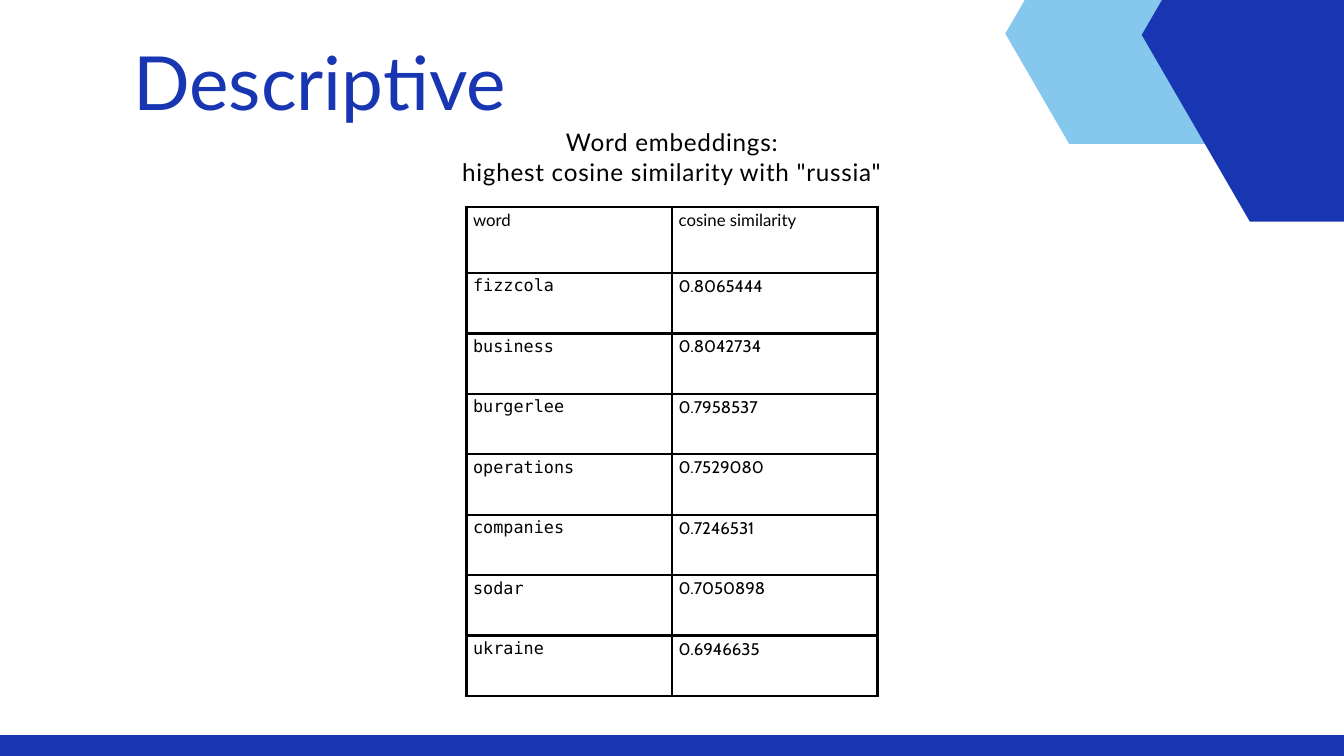
"""Build a slide with a table of word embedding similarities."""
from lxml.etree import SubElement as Sub
from pptx import Presentation
from pptx.dml.color import RGBColor as Rgb
from pptx.enum.shapes import MSO_SHAPE as Kind
from pptx.enum.text import MSO_AUTO_SIZE as Fit, PP_ALIGN as Align
from pptx.oxml.ns import qn
from pptx.util import Inches, Pt

TITLE = ["Descriptive"]
HEAD = ["Word embeddings:", 'highest cosine similarity with "russia"']
ROWS = [
    ("word", "cosine similarity"),
    ("fizzcola", "0.8065444"),
    ("business", "0.8042734"),
    ("burgerlee", "0.7958537"),
    ("operations", "0.7529080"),
    ("companies", "0.7246531"),
    ("sodar", "0.7050898"),
    ("ukraine", "0.6946635"),
]
THEME = {
    "blue": Rgb.from_string("1836B2"),
    "sky": Rgb.from_string("86C7ED"),
    "ink": Rgb.from_string("000000"),
    "sans": "Lato",
    "mono": "DejaVu Sans Mono",
    "digit": "Cabin",
    "title": Pt(80),
    "head": Pt(26),
    "cell": Pt(18),
    "edge": Pt(3),
}
HEXES = [
    {"box": (14.96, -1.14, 5.38, 3.28), "inset": 0.95, "tone": "sky"},
    {"box": (16.99, -2.26, 6.02, 5.56), "inset": 1.61, "tone": "blue"},
]
TEXTS = [
    {"lines": HEAD, "box": (6.68, 1.9, 6.64, 0.86), "size": "head",
     "tone": "ink", "track": 80,
     "form": {"alignment": Align.CENTER, "line_spacing": Pt(31.2)}},
    {"lines": TITLE, "box": (1.98, 0.65, 11.59, 1.26), "size": "title",
     "tone": "blue", "track": 0,
     "form": {"alignment": Align.LEFT, "line_spacing": Pt(88)}},
]
GRID = {"box": (6.94, 3.08, 6.12, 7.28), "first": 0.98, "row": 0.9}


def apply(item, values):
    """Set each named value on an item."""
    for name, value in values.items():
        setattr(item, name, value)


def style(run, face, size, tone):
    """Give a run its face, size and colour."""
    apply(run.font, {"name": THEME[face], "size": THEME[size]})
    run.font.color.rgb = THEME[tone]


def paint(shape, tone):
    """Fill a shape plainly, with no line or shadow."""
    shape.shadow.inherit = False
    shape.fill.solid()
    shape.fill.fore_color.rgb = THEME[tone]
    shape.line.fill.background()


def add_hex(slide, box, inset, tone):
    """Draw a hexagon with points at the left and right."""
    left, top, wide, high = box
    right, low, mid = left + wide, top + high, top + high / 2
    dots = [(right - inset, top), (left + inset, top), (left, mid),
            (left + inset, low), (right - inset, low), (right, mid)]
    dots = [(Inches(x), Inches(y)) for x, y in dots]
    pen = slide.shapes.build_freeform(*dots[0])
    pen.add_line_segments(dots[1:], close=True)
    paint(pen.convert_to_shape(), tone)


def add_text(slide, lines, box, size, tone, track, form):
    """Add a text box with one paragraph for each line."""
    frame = slide.shapes.add_textbox(*map(Inches, box)).text_frame
    sides = ("left", "top", "right", "bottom")
    apply(frame, {f"margin_{side}": 0 for side in sides})
    apply(frame, {"word_wrap": True, "auto_size": Fit.SHAPE_TO_FIT_TEXT})
    for i, line in enumerate(lines):
        para = frame.add_paragraph() if i else frame.paragraphs[0]
        apply(para, form)
        run = para.add_run()
        run.text = line
        style(run, "sans", size, tone)
        if track:
            run._r.get_or_add_rPr().set("spc", str(track))


def add_edges(cell):
    """Draw a solid border on all sides of a cell."""
    props = cell._tc.get_or_add_tcPr()
    for side in ("lnL", "lnR", "lnT", "lnB"):
        edge = Sub(props, qn(f"a:{side}"), w=str(THEME["edge"]))
        fill = Sub(edge, qn("a:solidFill"))
        Sub(fill, qn("a:srgbClr"), val=str(THEME["ink"]))


def add_grid(slide):
    """Add the table of words and scores."""
    size = len(ROWS), len(ROWS[0])
    table = slide.shapes.add_table(*size, *map(Inches, GRID["box"])).table
    apply(table, {"first_row": False, "horz_banding": False})
    for r, row in enumerate(ROWS):
        table.rows[r].height = Inches(GRID["row"] if r else GRID["first"])
        faces = ("mono", "digit") if r else ("sans", "sans")
        for c, (word, face) in enumerate(zip(row, faces)):
            cell = table.cell(r, c)
            add_edges(cell)
            cell.fill.background()
            run = cell.text_frame.paragraphs[0].add_run()
            run.text = word
            style(run, face, "cell", "ink")


def main():
    """Build and save the slide."""
    deck = Presentation()
    apply(deck, {"slide_width": Inches(20), "slide_height": Inches(11.25)})
    slide = deck.slides.add_slide(deck.slide_layouts[6])
    bar = map(Inches, (-0.1, 10.94, 20.19, 0.31))
    paint(slide.shapes.add_shape(Kind.RECTANGLE, *bar), "blue")
    for item in HEXES:
        add_hex(slide, **item)
    add_grid(slide)
    for item in TEXTS:
        add_text(slide, **item)
    deck.save("out.pptx")


if __name__ == "__main__":
    main()
